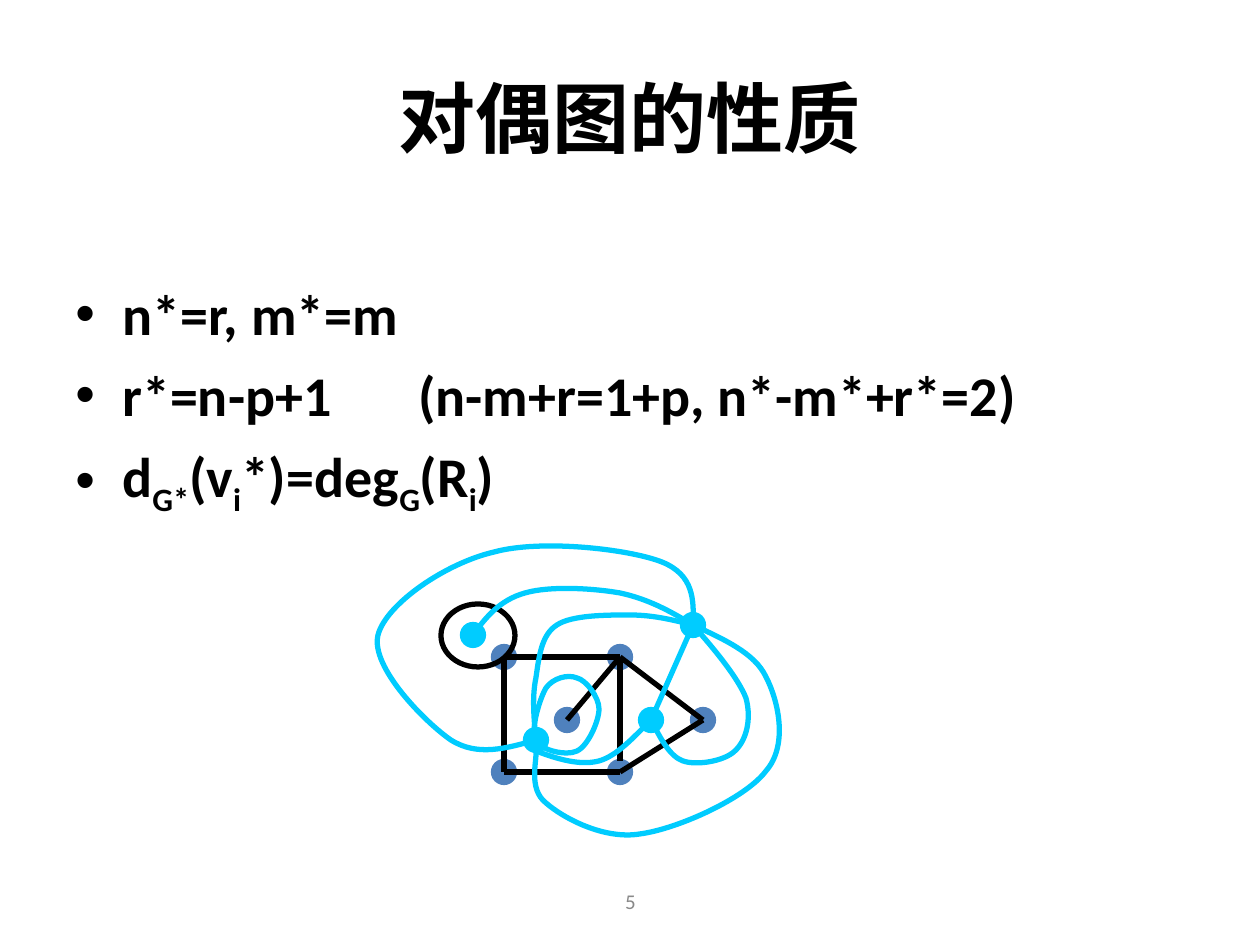
from lxml.etree import SubElement
from pptx import Presentation
from pptx.dml.color import RGBColor
from pptx.enum.shapes import MSO_CONNECTOR as Connector, MSO_SHAPE as Preset
from pptx.enum.text import MSO_ANCHOR as Anchor, PP_ALIGN as Align
from pptx.oxml.ns import qn
from pptx.util import Emu, Pt

SCALE = 914400 / 126
BLACK = RGBColor(0x00, 0x00, 0x00)
GRAY = RGBColor(0x89, 0x89, 0x89)
BLUE = RGBColor(0x4F, 0x81, 0xBD)
CYAN = RGBColor(0x00, 0xCC, 0xFF)
FONT = "Calibri"
DOT = 21
STROKE = Pt(3)
INDENT = 47
TAB_STOP = 343

TITLE = "对偶图的性质"
PAGE_NUMBER = "5"
NORMAL, SUB = False, True
PROPERTIES = [
    [("n*=r, m*=m", NORMAL)],
    [("r*=n-p+1\t(n-m+r=1+p, n*-m*+r*=2)", NORMAL)],
    [("d", NORMAL), ("G*", SUB), ("(v", NORMAL), ("i", SUB), ("*)=deg", NORMAL),
     ("G", SUB), ("(R", NORMAL), ("i", SUB), (")", NORMAL)],
]

TOP_LEFT, BOTTOM_LEFT = (504, 657), (504, 772)
TOP_RIGHT, BOTTOM_RIGHT = (620, 657), (620, 772)
TIP, PENDANT = (703, 720), (567, 720)
VERTICES = [TOP_LEFT, BOTTOM_LEFT, BOTTOM_RIGHT, TOP_RIGHT, TIP, PENDANT]
EDGES = [
    (TOP_LEFT, BOTTOM_LEFT), (BOTTOM_LEFT, BOTTOM_RIGHT), (TOP_LEFT, TOP_RIGHT),
    (TOP_RIGHT, (620, 761)), (TOP_RIGHT, TIP), (BOTTOM_RIGHT, TIP), (PENDANT, TOP_RIGHT),
]
LOOP = (441, 604, 74, 63)

IN_LOOP, IN_SQUARE, IN_TRIANGLE, OUTSIDE = (473, 635), (536, 740), (651, 720), (693, 625)
DUAL_VERTICES = [IN_LOOP, IN_SQUARE, IN_TRIANGLE, OUTSIDE]
DUAL_CURVES = [
    [IN_SQUARE, (530, 730), (540, 698), (546, 688), (553, 678), (568, 674), (577, 678),
     (586, 680), (599, 697), (599, 709), (599, 721), (588, 746), (577, 751),
     (567, 756), (541, 751), IN_SQUARE],
    [IN_SQUARE, (534, 718), (532, 697), (536, 678), (539, 658), (541, 635), (557, 625),
     (572, 615), (607, 615), (630, 615), (653, 615), (673, 620), OUTSIDE],
    [IN_TRIANGLE, (660, 737), (669, 756), (683, 761), (697, 766), (725, 761), (735, 751),
     (746, 741), (752, 720), (746, 698), (738, 678), (716, 651), OUTSIDE],
    [(536, 751), (557, 759), (580, 766), (599, 761), (617, 756), (634, 737), IN_TRIANGLE],
    [IN_LOOP, (486, 617), (500, 600), (525, 593), (549, 586), (591, 588), (620, 593),
     (648, 599), (670, 611), OUTSIDE],
    [IN_SQUARE, (534, 740), (534, 740), (536, 751), (537, 761), (528, 789), (546, 803),
     (563, 818), (604, 840), (640, 834), (678, 829), (746, 798), (766, 771),
     (788, 746), (779, 702), (766, 677), (755, 653), (723, 639), OUTSIDE],
    [IN_SQUARE, (507, 748), (478, 757), (451, 740), (426, 723), (370, 667), (378, 635),
     (386, 604), (446, 563), (494, 552), (541, 539), (629, 549), (662, 562),
     (694, 575), (694, 600), OUTSIDE],
]


def px(*lengths):
    return [Emu(round(length * SCALE)) for length in lengths]


def add_text_frame(slide, box, anchor):
    frame = slide.shapes.add_textbox(*px(*box)).text_frame
    frame.word_wrap = True
    frame.vertical_anchor = anchor
    return frame


def add_run(paragraph, text, size, color, bold=False, subscript=False):
    run = paragraph.add_run()
    run.text = text
    run.font.name, run.font.size, run.font.bold = FONT, Pt(size), bold
    run.font.color.rgb = color
    if subscript:
        run._r.get_or_add_rPr().set("baseline", "-25000")


def add_centered(slide, box, text, size, color, bold=False):
    paragraph = add_text_frame(slide, box, Anchor.MIDDLE).paragraphs[0]
    paragraph.alignment = Align.CENTER
    add_run(paragraph, text, size, color, bold)


def set_bullet(paragraph):
    indent, tab_stop = px(INDENT, TAB_STOP)
    properties = paragraph._p.get_or_add_pPr()
    properties.set("marL", str(indent))
    properties.set("indent", str(-indent))
    bullet_color = SubElement(properties, qn("a:buClr"))
    SubElement(bullet_color, qn("a:srgbClr"), val=str(BLACK))
    SubElement(properties, qn("a:buFont"), typeface="Arial")
    SubElement(properties, qn("a:buChar"), char="•")
    tabs = SubElement(properties, qn("a:tabLst"))
    SubElement(tabs, qn("a:tab"), pos=str(tab_stop), algn="l")


def add_properties(slide, box):
    frame = add_text_frame(slide, box, Anchor.TOP)
    for index, runs in enumerate(PROPERTIES):
        paragraph = frame.add_paragraph() if index else frame.paragraphs[0]
        set_bullet(paragraph)
        paragraph.space_before = Pt(8 if index else 0)
        for text, subscript in runs:
            add_run(paragraph, text, 32, BLACK, True, subscript)


def set_outline(shape, color):
    shape.line.color.rgb = color
    shape.line.width = STROKE


def add_ellipse(slide, box, color, filled):
    shape = slide.shapes.add_shape(Preset.OVAL, *px(*box))
    shape.shadow.inherit = False
    if filled:
        shape.fill.solid()
        shape.fill.fore_color.rgb = color
    else:
        shape.fill.background()
    set_outline(shape, color)


def add_dots(slide, centers, color):
    for x, y in centers:
        add_ellipse(slide, (x - DOT / 2, y - DOT / 2, DOT, DOT), color, True)


def add_edge(slide, start, end, color):
    edge = slide.shapes.add_connector(Connector.STRAIGHT, *px(*start, *end))
    set_outline(edge, color)
    SubElement(edge._element.spPr, qn("a:effectLst"))


def add_curve(slide, points, color):
    builder = slide.shapes.build_freeform(*points[0], scale=SCALE)
    builder.add_line_segments(points[1:], close=points[0] == points[-1])
    shape = builder.convert_to_shape()
    segments = list(shape._element.iter(qn("a:lnTo")))
    for first in range(0, len(segments), 3):
        curve, *others = segments[first:first + 3]
        for other in others:
            curve.append(other[0])
            other.getparent().remove(other)
        curve.tag = qn("a:cubicBezTo")
    shape.shadow.inherit = False
    shape.fill.background()
    set_outline(shape, color)


def main():
    presentation = Presentation()
    presentation.slide_width, presentation.slide_height = px(1260, 945)
    slide = presentation.slides.add_slide(presentation.slide_layouts[6])
    add_centered(slide, (431, 876, 399, 50), PAGE_NUMBER, 12, GRAY)
    add_centered(slide, (63, 38, 1134, 157), TITLE, 44, BLACK, True)
    add_properties(slide, (63, 273, 1134, 387))
    add_dots(slide, VERTICES, BLUE)
    for start, end in EDGES:
        add_edge(slide, start, end, BLACK)
    add_ellipse(slide, LOOP, BLACK, False)
    add_dots(slide, DUAL_VERTICES, CYAN)
    add_edge(slide, IN_TRIANGLE, OUTSIDE, CYAN)
    for points in DUAL_CURVES:
        add_curve(slide, points, CYAN)
    presentation.save("out.pptx")


if __name__ == "__main__":
    main()
